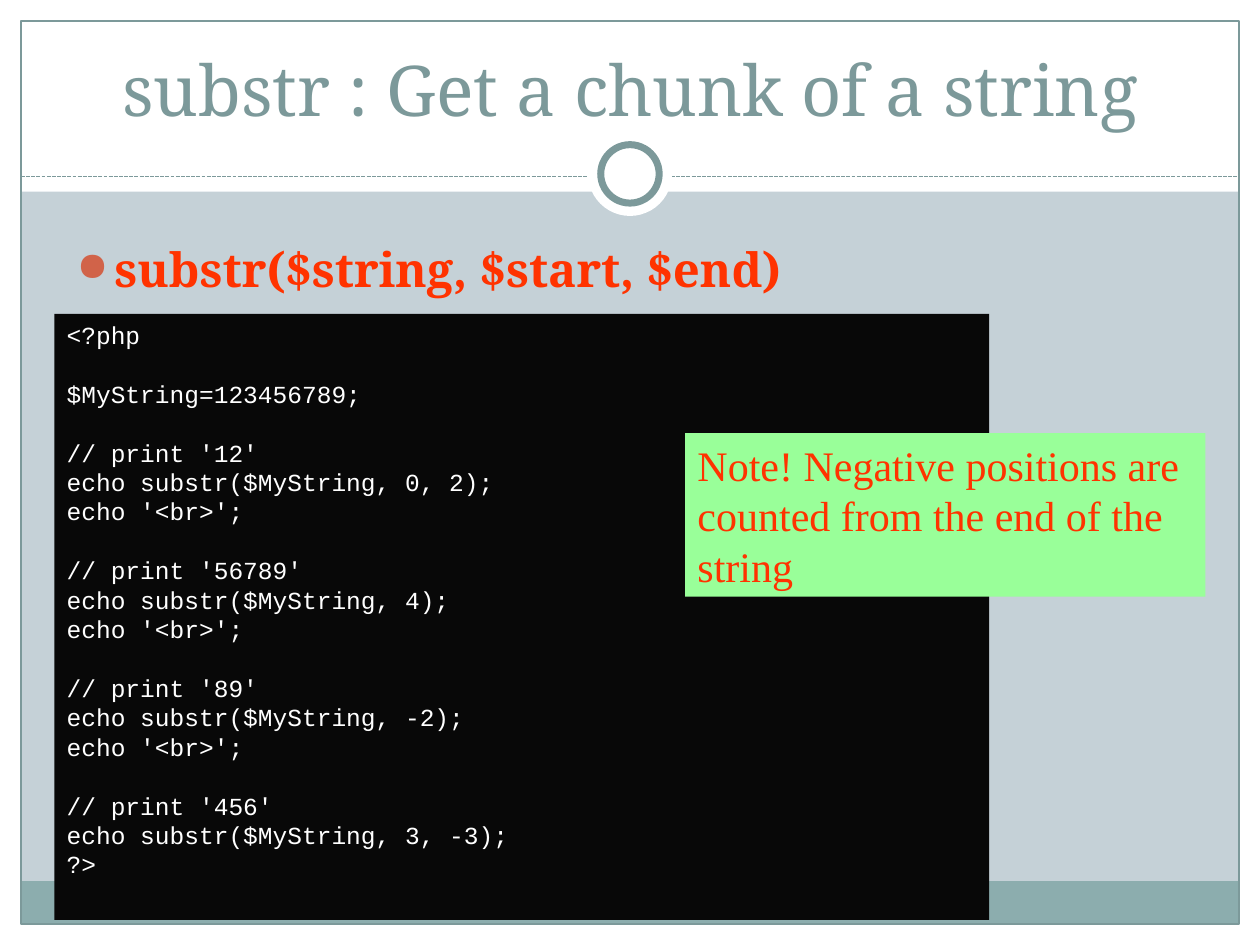
from dataclasses import dataclass

from lxml import etree
from pptx import Presentation
from pptx.dml.color import RGBColor
from pptx.enum.dml import MSO_LINE
from pptx.enum.shapes import MSO_CONNECTOR, MSO_SHAPE
from pptx.enum.text import MSO_ANCHOR, PP_ALIGN
from pptx.oxml.ns import qn
from pptx.util import Pt

RECT, OVAL = MSO_SHAPE.RECTANGLE, MSO_SHAPE.OVAL
STRAIGHT, DASH = MSO_CONNECTOR.STRAIGHT, MSO_LINE.SQUARE_DOT
TOP, BOTTOM = MSO_ANCHOR.TOP, MSO_ANCHOR.BOTTOM
LEFT, CENTER = PP_ALIGN.LEFT, PP_ALIGN.CENTER
WIDTH, HEIGHT, MARGIN = 720, 540, 12


@dataclass(frozen=True)
class Theme:
    """Colours, fonts and type sizes of the deck."""
    ground: str = "C5D1D7"
    white: str = "FFFFFF"
    teal: str = "7C999A"
    band: str = "8CADAE"
    bullet: str = "D16349"
    red: str = "FF3300"
    black: str = "080808"
    green: str = "99FF99"
    serif: str = "Noto Serif"
    mono: str = "Courier New"
    roman: str = "Times New Roman"
    title_size: int = 40
    body_size: int = 27
    code_size: int = 14
    code_pitch: float = 16.8
    note_size: int = 24


THEME = Theme()
CODE_GROUPS = [
    ["<?php"],
    ["$MyString=123456789;"],
    ["// print '12'", "echo substr($MyString, 0, 2);", "echo '<br>';"],
    ["// print '56789'", "echo substr($MyString, 4);", "echo '<br>';"],
    ["// print '89'", "echo substr($MyString, -2);", "echo '<br>';"],
    ["// print '456'", "echo substr($MyString, 3, -3);", "?>"],
]


def color(code):
    """Turn a hex code into a colour."""
    return RGBColor.from_string(code)


def add_box(page, box, fill=None, line=None, weight=0.75, kind=RECT):
    """Add a flat shape in the box (left, top, width, height)."""
    shape = page.shapes.add_shape(kind, *map(Pt, box))
    shape.shadow.inherit = False
    if fill:
        shape.fill.solid()
        shape.fill.fore_color.rgb = color(fill)
    else:
        shape.fill.background()
    if line:
        shape.line.color.rgb = color(line)
        shape.line.width = Pt(weight)
    else:
        shape.line.fill.background()
    return shape


def prepare_frame(shape, anchor=TOP):
    """Make the text of a shape wrap and sit at the anchor."""
    frame = shape.text_frame
    frame.word_wrap = True
    frame.vertical_anchor = anchor
    return frame


def add_span(para, text, font, size, ink, bold=False, align=LEFT):
    """Add one formatted run to a paragraph."""
    para.alignment = align
    span = para.add_run()
    span.text = text
    span.font.name = font
    span.font.size = Pt(size)
    span.font.bold = bold
    span.font.color.rgb = color(ink)


def add_bullet(para, indent):
    """Give a paragraph a coloured hanging bullet."""
    props = para._p.get_or_add_pPr()
    props.set("marL", str(Pt(indent)))
    props.set("indent", str(-Pt(indent)))
    tint = etree.SubElement(props, qn("a:buClr"))
    etree.SubElement(tint, qn("a:srgbClr"), val=THEME.bullet)
    etree.SubElement(props, qn("a:buSzPct"), val="85000")
    etree.SubElement(props, qn("a:buChar"), char="●")


def draw_backdrop(page, box):
    """Draw the margins, header, footer band, frame and ring."""
    left, top, width, height = box
    right, bottom = left + width, top + height
    page.background.fill.solid()
    page.background.fill.fore_color.rgb = color(THEME.ground)
    for strip in (
        (left, bottom - MARGIN, width, MARGIN),
        (left, top, width, 109.5),
        (left, top, MARGIN, height),
        (right - MARGIN, top, MARGIN, height),
    ):
        add_box(page, strip, THEME.white)
    inner = width - 2 * MARGIN
    add_box(page, (left + MARGIN, bottom - 36.5, inner, 24.5), THEME.band)
    add_box(page, (left + MARGIN, top + MARGIN, inner, height - 2 * MARGIN),
            line=THEME.teal)

    rule_y = Pt(top + 100.8)
    rule = page.shapes.add_connector(
        STRAIGHT, Pt(left + MARGIN), rule_y, Pt(right - MARGIN), rule_y)
    rule.line.color.rgb = color(THEME.teal)
    rule.line.width = Pt(0.75)
    rule.line.dash_style = DASH
    etree.SubElement(rule._element.spPr, qn("a:effectLst"))

    for size, line in ((48, None), (33.4, THEME.teal)):
        ring = (left + (width - size) / 2, top + 99.4 - size / 2, size, size)
        add_box(page, ring, THEME.white, line, 4, OVAL)


def draw_title(page, box):
    """Place the centred title."""
    frame = prepare_frame(page.shapes.add_textbox(*map(Pt, box)), BOTTOM)
    add_span(frame.paragraphs[0], "substr : Get a chunk of a string",
             THEME.serif, THEME.title_size, THEME.teal, align=CENTER)


def draw_signature(page, box):
    """Place the bulleted function signature."""
    frame = prepare_frame(page.shapes.add_textbox(*map(Pt, box)))
    para = frame.paragraphs[0]
    add_span(para, "substr($string, $start, $end)", THEME.serif,
             THEME.body_size, THEME.red, bold=True)
    add_bullet(para, 21.6)


def draw_code(page, box, groups):
    """Place the code panel, one line of space between groups."""
    frame = prepare_frame(add_box(page, box, THEME.black))
    para = frame.paragraphs[0]
    for group_index, group in enumerate(groups):
        for line_index, text in enumerate(group):
            if group_index or line_index:
                para = frame.add_paragraph()
            para.line_spacing = Pt(THEME.code_pitch)
            if group_index and not line_index:
                para.space_before = Pt(THEME.code_pitch)
            add_span(para, text, THEME.mono, THEME.code_size, THEME.white)


def draw_note(page, box):
    """Place the green note over the code panel."""
    frame = prepare_frame(add_box(page, box, THEME.green))
    add_span(frame.paragraphs[0],
             "Note! Negative positions are counted from the end of the string",
             THEME.roman, THEME.note_size, THEME.red)


def build():
    """Build the deck and save it."""
    deck = Presentation()
    deck.slide_width, deck.slide_height = Pt(WIDTH), Pt(HEIGHT)
    page = deck.slides.add_slide(deck.slide_layouts[6])
    draw_backdrop(page, (0, 0, WIDTH, HEIGHT))
    draw_title(page, (24, 18, 672, 60))
    draw_signature(page, (36.7, 134, 612, 324))
    draw_code(page, (31, 179.3, 534.2, 346.3), CODE_GROUPS)
    draw_note(page, (391.5, 247.5, 297.4, 93.4))
    deck.save("out.pptx")


build()
